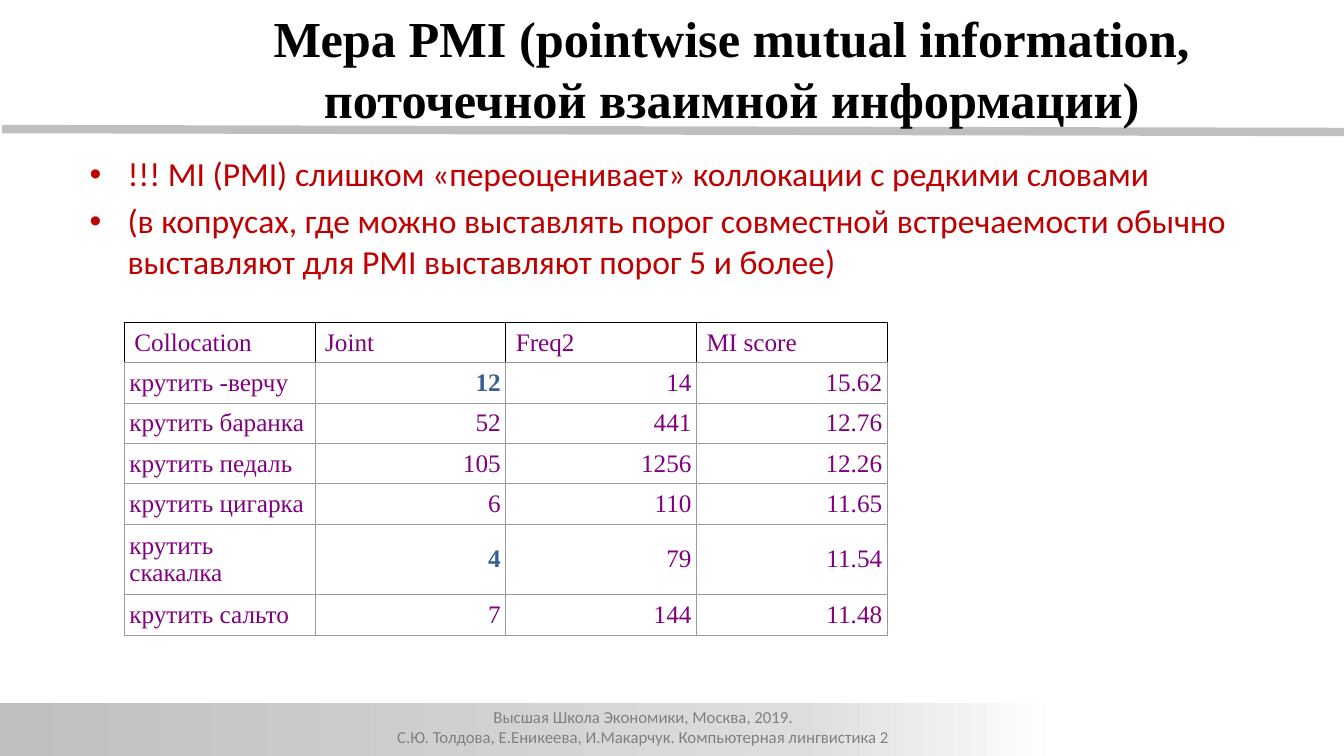
import copy
import pptx
import pptx.dml.color
import pptx.enum.shapes
import pptx.enum.text
import pptx.oxml
import pptx.oxml.ns
import pptx.util

Pt = pptx.util.Pt
RGB = pptx.dml.color.RGBColor.from_string
ALIGN = pptx.enum.text.PP_ALIGN
MIDDLE = pptx.enum.text.MSO_ANCHOR.MIDDLE
qn = pptx.oxml.ns.qn
NS = pptx.oxml.ns.nsdecls("a")

COLORS = {
    "black": "000000", "white": "FFFFFF", "red": "C00000",
    "purple": "800080", "blue": "376092", "footer": "808080",
    "rule": "BFBFBF", "fade": "DDDDDD", "grid": "999999",
}


def write(tf, lines, font="Times New Roman", size=18, color="purple",
          bold=False, align=ALIGN.LEFT, bullet=False, gap=0):
    tf.word_wrap = True
    for i, line in enumerate(lines):
        p = tf.add_paragraph() if i else tf.paragraphs[0]
        p.alignment = align
        if i and gap:
            p.space_before = Pt(gap)
        if bullet:
            pPr = p._p.get_or_add_pPr()
            pPr.set("marL", str(Pt(27)))
            pPr.set("indent", str(-Pt(27)))
            for xml in (f'<a:buFont {NS} typeface="Arial"/>', f'<a:buChar {NS} char="•"/>'):
                pPr.append(pptx.oxml.parse_xml(xml))
        r = p.add_run()
        r.text = line
        r.font.name = font
        r.font.size = Pt(size)
        r.font.bold = bold
        r.font.color.rgb = RGB(COLORS[color])


prs = pptx.Presentation()
prs.slide_width, prs.slide_height = Pt(960), Pt(540)
s = prs.slides.add_slide(prs.slide_layouts[6])

rule = s.shapes.add_connector(
    pptx.enum.shapes.MSO_CONNECTOR.STRAIGHT, Pt(1.5), Pt(92.2), Pt(961), Pt(94.3))
rule.line.width = Pt(6)
rule.line.color.rgb = RGB(COLORS["rule"])
rule._element.spPr.append(pptx.oxml.parse_xml(f"<a:effectLst {NS}/>"))

band = s.shapes.add_shape(
    pptx.enum.shapes.MSO_SHAPE.RECTANGLE, Pt(-0.7), Pt(502), Pt(760), Pt(41))
band.shadow.inherit = False
band.line.fill.background()
band.fill.gradient()
band.fill.gradient_angle = 0
gs_list = band._element.spPr.find(qn("a:gradFill")).find(qn("a:gsLst"))
gs_list.insert(1, copy.deepcopy(gs_list[0]))
for stop, (name, position) in zip(
        band.fill.gradient_stops, [("rule", 0), ("fade", 0.75), ("white", 1)]):
    stop.color.rgb = RGB(COLORS[name])
    stop.position = position

footer = s.shapes.add_textbox(Pt(183), Pt(501), Pt(553), Pt(32.5))
write(footer.text_frame,
      ["Высшая Школа Экономики, Москва, 2019.",
       "С.Ю. Толдова, Е.Еникеева, И.Макарчук. Компьютерная лингвистика 2"],
      font="Calibri", size=12, color="footer", align=ALIGN.CENTER)

body = s.shapes.add_textbox(Pt(57), Pt(106), Pt(839.5), Pt(363))
write(body.text_frame,
      ["!!! MI (PMI) слишком «переоценивает» коллокации с редкими словами",
       "(в копрусах, где можно выставлять порог совместной встречаемости обычно "
       "выставляют для PMI выставляют порог 5 и более)"],
      font="Calibri", size=24, color="red", bullet=True, gap=4.8)

title = s.shapes.add_textbox(Pt(185), Pt(1), Pt(675.5), Pt(95))
title.text_frame.vertical_anchor = MIDDLE
write(title.text_frame,
      ["Мера PMI (pointwise mutual information, поточечной взаимной информации)"],
      size=36, color="black", bold=True, align=ALIGN.CENTER)

rows = [
    ("Collocation", "Joint", "Freq2", "MI score"),
    ("крутить -верчу", "12", "14", "15.62"),
    ("крутить баранка", "52", "441", "12.76"),
    ("крутить педаль", "105", "1256", "12.26"),
    ("крутить цигарка", "6", "110", "11.65"),
    ("крутить скакалка", "4", "79", "11.54"),
    ("крутить сальто", "7", "144", "11.48"),
]
highlighted = {(1, 1), (5, 1)}
heights = [27.2] * 5 + [47.2, 27.2]

table = s.shapes.add_table(
    len(rows), 4, Pt(88.8), Pt(230.2), Pt(545), Pt(sum(heights))).table
table.first_row = table.horz_banding = False
for col in table.columns:
    col.width = Pt(136.25)
for i, row in enumerate(rows):
    table.rows[i].height = Pt(heights[i])
    for j, text in enumerate(row):
        cell = table.cell(i, j)
        cell.vertical_anchor = MIDDLE
        cell.margin_top = cell.margin_bottom = Pt(3.6)
        cell.margin_left = cell.margin_right = Pt(3.6 if i else 7.2)
        cell.fill.solid()
        cell.fill.fore_color.rgb = RGB(COLORS["white"])
        tcPr = cell._tc.get_or_add_tcPr()
        for k, side in enumerate("LRTB"):
            edge = COLORS["grid" if i or side == "B" else "black"]
            tcPr.insert(k, pptx.oxml.parse_xml(
                f'<a:ln{side} {NS} w="{Pt(0.75)}"><a:solidFill>'
                f'<a:srgbClr val="{edge}"/></a:solidFill></a:ln{side}>'))
        strong = (i, j) in highlighted
        write(cell.text_frame, [text], color="blue" if strong else "purple",
              bold=strong, align=ALIGN.RIGHT if i and j else ALIGN.LEFT)

prs.save("out.pptx")
